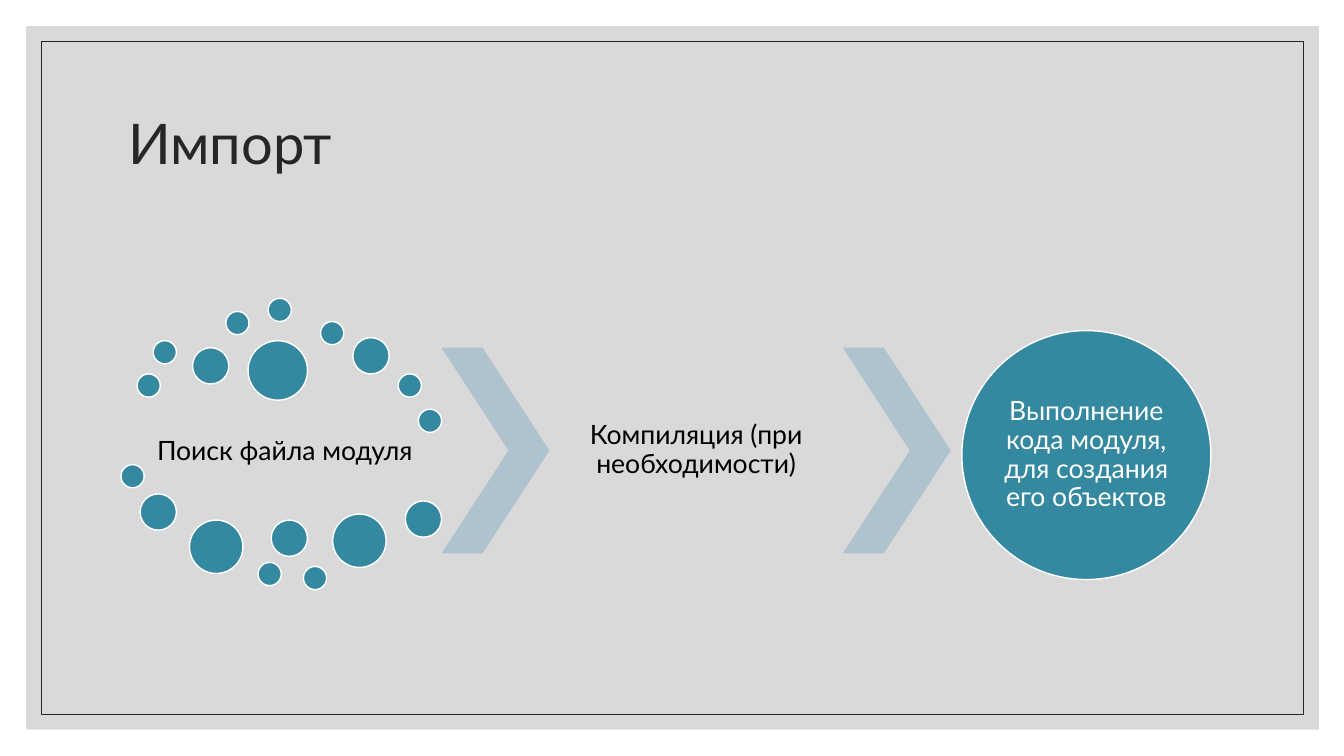
"""Build the slide that shows the three steps of a module import."""
from pptx import Presentation
from pptx.dml.color import RGBColor
from pptx.enum.shapes import MSO_SHAPE as Preset
from pptx.enum.text import MSO_ANCHOR as Anchor, MSO_AUTO_SIZE as AutoSize, PP_ALIGN as Align
from pptx.util import Inches, Pt

COLORS = {
    "panel": "D9D9D9", "dark": "262626", "teal": "3488A0",
    "chevron": "AEC3CD", "black": "000000", "white": "FFFFFF",
}
FONT = "Lato"
SMALL, MEDIUM, LARGE, LARGEST = 0.23, 0.36, 0.53, 0.59
DOTS = [
    (1.36, 3.71, SMALL), (1.52, 3.38, SMALL), (1.91, 3.45, MEDIUM),
    (2.24, 3.09, SMALL), (2.66, 2.96, SMALL), (3.18, 3.19, SMALL),
    (3.5, 3.35, MEDIUM), (3.95, 3.71, SMALL), (4.15, 4.06, SMALL),
    (2.46, 3.38, LARGEST), (1.2, 4.61, SMALL), (1.39, 4.9, MEDIUM),
    (1.88, 5.16, LARGE), (2.56, 5.58, SMALL), (2.69, 5.16, MEDIUM),
    (3.01, 5.62, SMALL), (3.3, 5.1, LARGE), (4.02, 4.97, MEDIUM),
]

presentation = Presentation()
presentation.slide_width, presentation.slide_height = Inches(13.33), Inches(7.5)
slide = presentation.slides.add_slide(presentation.slide_layouts[5])


def add_preset(preset, box, fill=None, line=None, width=1):
    shape = slide.shapes.add_shape(preset, *map(Inches, box))
    shape.shadow.inherit = False
    if fill:
        shape.fill.solid()
        shape.fill.fore_color.rgb = RGBColor.from_string(COLORS[fill])
    else:
        shape.fill.background()
    if line:
        shape.line.color.rgb = RGBColor.from_string(COLORS[line])
        shape.line.width = Pt(width)
    else:
        shape.line.fill.background()
    return shape


def write_text(shape, text, size, color, align, inset):
    frame = shape.text_frame
    frame.word_wrap = True
    frame.auto_size = AutoSize.NONE
    frame.vertical_anchor = Anchor.MIDDLE
    frame.margin_left = frame.margin_right = Inches(inset)
    frame.margin_top = frame.margin_bottom = Inches(min(inset, 0.05))
    paragraph = frame.paragraphs[0]
    paragraph.alignment = align
    paragraph.line_spacing = 0.9
    run = paragraph.add_run()
    run.text = text
    run.font.name = FONT
    run.font.size = Pt(size)
    run.font.color.rgb = RGBColor.from_string(COLORS[color])


title = slide.shapes.title
title.left, title.top, title.width, title.height = map(Inches, (1.17, 0.7, 11, 1.5))
write_text(title, "Импорт", 40, "dark", Align.LEFT, 0.1)

panel = add_preset(Preset.RECTANGLE, (0.26, 0.26, 12.82, 6.98), "panel")
border = add_preset(Preset.RECTANGLE, (0.41, 0.41, 12.52, 6.68), line="dark", width=0.5)
for backdrop in (panel, border):
    title.element.addprevious(backdrop.element)

for step, box in (
    ("Поиск файла модуля", (1.37, 4, 2.91, 0.96)),
    ("Компиляция (при необходимости)", (5.45, 3.45, 2.91, 2.04)),
):
    label = slide.shapes.add_textbox(*map(Inches, box))
    write_text(label, step, 19, "black", Align.CENTER, 0.03)

for left, top, diameter in DOTS:
    add_preset(Preset.OVAL, (left, top, diameter, diameter), "teal", "white")

for left in (4.38, 8.36):
    chevron = add_preset(Preset.CHEVRON, (left, 3.45, 1.07, 2.04), "chevron")
    chevron.adjustments[0] = 0.62

result = add_preset(Preset.OVAL, (9.54, 3.28, 2.47, 2.47), "teal", "white")
write_text(result, "Выполнение кода модуля, для создания его объектов", 19, "white", Align.CENTER, 0)

presentation.save("out.pptx")
